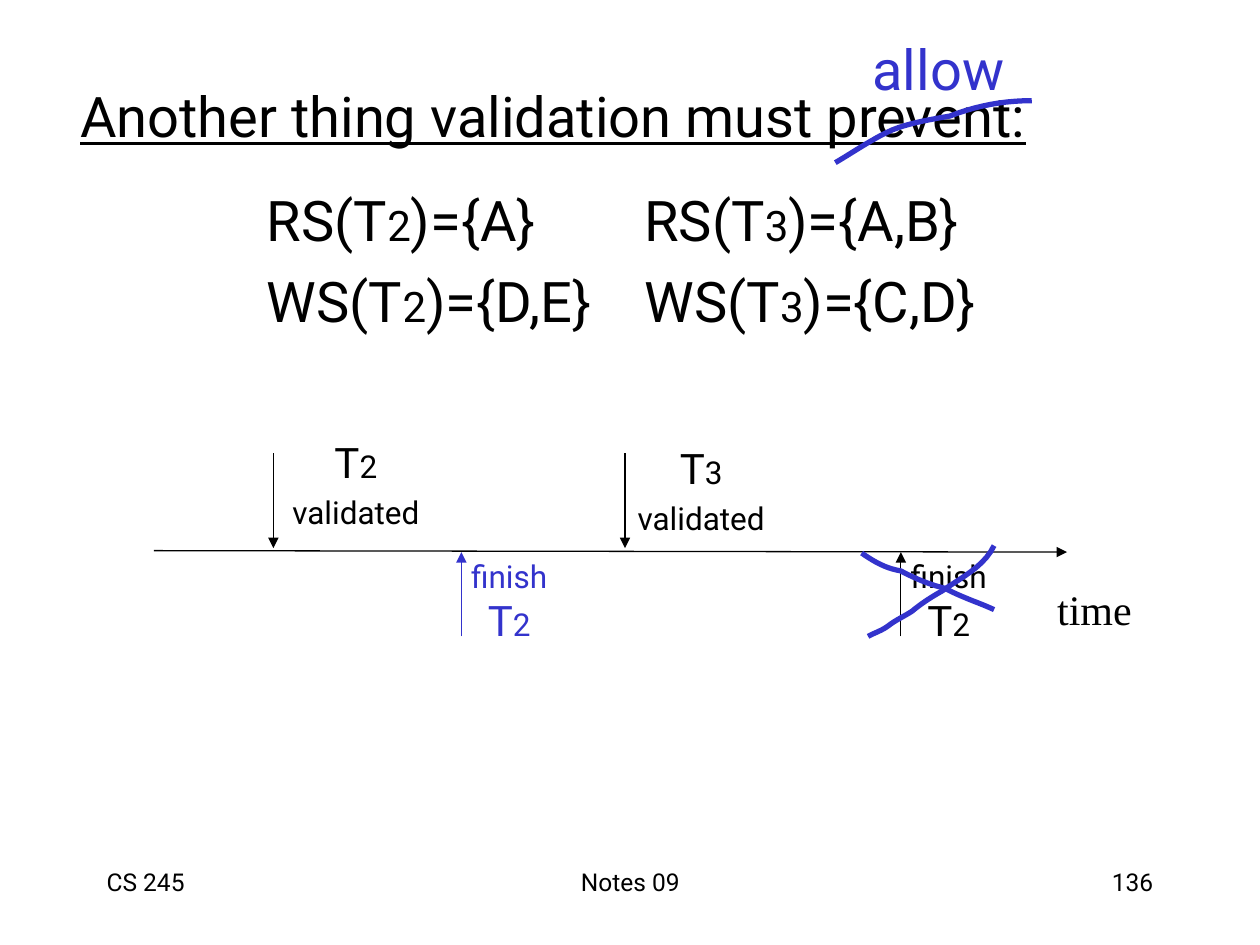
from lxml import etree
from pptx import Presentation
from pptx import util as u
from pptx.dml import color
from pptx.enum import text
from pptx.oxml import ns

COLOURS = {"ink": "000000", "edit": "3333CC"}
CENTRE = {"alignment": text.PP_ALIGN.CENTER}
RIGHT = {"alignment": text.PP_ALIGN.RIGHT}
MIDDLE = {"vertical_anchor": text.MSO_ANCHOR.MIDDLE}
FIT = {**MIDDLE, "word_wrap": False}
AXIS_Y = 11.1


def rgb(name):
    return color.RGBColor.from_string(COLOURS[name])


def set_all(target, values):
    for name, value in values.items():
        setattr(target, name, value)


def add_text(slide, box, paragraphs, colour="ink", frame_format=None, font_format=None):
    """Add a box; each paragraph is (list of (text, size) runs, format dict)."""
    shape = slide.shapes.add_textbox(*map(u.Cm, box))
    frame = shape.text_frame
    set_all(frame, {"word_wrap": True, **(frame_format or {})})
    for index, (runs, paragraph_format) in enumerate(paragraphs):
        paragraph = frame.paragraphs[0] if index == 0 else frame.add_paragraph()
        set_all(paragraph, paragraph_format)
        for content, size in runs:
            run = paragraph.add_run()
            run.text = content
            set_all(run.font, {"name": "Roboto", "size": u.Pt(size), **(font_format or {})})
            run.font.color.rgb = rgb(colour)
    return shape


def add_tabs(shape, positions):
    for paragraph in shape.text_frame.paragraphs:
        tabs = etree.SubElement(paragraph._p.get_or_add_pPr(), ns.qn("a:tabLst"))
        for position in positions:
            etree.SubElement(tabs, ns.qn("a:tab"), pos=str(int(u.Cm(position))), algn="l")


def add_arrow(slide, start, end, colour="ink"):
    arrow = slide.shapes.add_connector(1, *map(u.Cm, (*start, *end)))
    arrow.line.width = u.Pt(0.75)
    arrow.line.color.rgb = rgb(colour)
    properties = arrow._element.spPr
    etree.SubElement(properties.find(ns.qn("a:ln")), ns.qn("a:tailEnd"), type="triangle")
    etree.SubElement(properties, ns.qn("a:effectLst"))


def add_stroke(slide, start, *curves, steps=10):
    """Draw a pen stroke through cubic curves (two controls and an end each)."""
    points = []
    origin = start
    for controls in curves:
        for step in range(1, steps + 1):
            t = step / steps
            weights = ((1 - t) ** 3, 3 * t * (1 - t) ** 2, 3 * t * t * (1 - t), t ** 3)
            corners = (origin, *controls)
            points.append(tuple(
                u.Cm(sum(w * corner[axis] for w, corner in zip(weights, corners)))
                for axis in (0, 1)))
        origin = controls[-1]
    builder = slide.shapes.build_freeform(*map(u.Cm, start))
    builder.add_line_segments(points, close=False)
    stroke = builder.convert_to_shape()
    stroke.shadow.inherit = False
    stroke.fill.background()
    stroke.line.width = u.Pt(3)
    stroke.line.color.rgb = rgb("edit")


def add_validated(slide, x, label_x, label_y, number):
    add_arrow(slide, (x, 9.14), (x, 11.05))
    lower = {**CENTRE, "space_before": u.Pt(11.2), "line_spacing": 0.6}
    add_text(slide, (label_x, label_y, 3.23, 2.13),
             [([("T", 24), (number, 18)], CENTRE), ([("validated", 18)], lower)],
             frame_format=FIT)


def add_finish(slide, x, colour):
    add_arrow(slide, (x, 12.83), (x, 11.13), colour)
    add_text(slide, (x - 0.1, AXIS_Y, 2.13, 2.03),
             [([("finish", 18)], CENTRE), ([("T", 24), ("2", 18)], CENTRE)],
             colour, FIT)


def main():
    presentation = Presentation()
    presentation.slide_width, presentation.slide_height = u.Cm(25.4), u.Cm(19.05)
    slide = presentation.slides.add_slide(presentation.slide_layouts[6])

    # Footer
    for x, width, content, layout in ((1.9, 5.29, "CS 245", {}),
                                      (8.69, 8.04, "Notes 09", CENTRE),
                                      (18.21, 5.29, "136", RIGHT)):
        add_text(slide, (x, 17.35, width, 1.27), [([(content, 14)], layout)])

    # Title
    add_text(slide, (1.37, 1.12, 21.59, 2.41),
             [([("Another thing validation must prevent:", 32)], {})],
             frame_format=MIDDLE, font_format={"underline": True})

    # Read and write sets, one column per transaction
    rows = []
    for name, second, third in (("RS", "{A}", "{A,B}"), ("WS", "{D,E}", "{C,D}")):
        runs = [(f"\t{name}(T", 32), ("2", 24), (f")={second}\t{name}(T", 32),
                ("3", 24), (f")={third}", 32)]
        rows.append((runs, {"space_before": u.Pt(8)} if rows else {}))
    add_tabs(add_text(slide, (1.63, 3.61, 21.59, 3.84), rows), (3.5, 11.11))

    # Time line
    add_arrow(slide, (3.1, AXIS_Y), (21.51, AXIS_Y + 0.03))
    add_text(slide, (21.06, 11.63, 2.01, 1.27), [([("time", 24)], CENTRE)],
             frame_format=FIT, font_format={"name": "Times New Roman"})
    add_validated(slide, 5.51, 5.56, 8.66, "2")
    add_validated(slide, 12.6, 12.52, 8.79, "3")
    add_finish(slide, 18.16, "ink")
    add_finish(slide, 9.3, "edit")

    # Correction of the title
    add_text(slide, (17.27, 0.56, 3.3, 1.63), [([("allow", 32)], CENTRE)], "edit", FIT)
    add_stroke(slide, (16.84, 3.28),
               ((17.2, 3.07), (17.53, 2.84), (17.88, 2.67)),
               ((18.24, 2.49), (18.77, 2.41), (19.15, 2.34)),
               ((19.69, 2.13), (20.24, 2.03), (20.8, 2.03)))

    # Cross over the late finish
    add_stroke(slide, (17.5, 12.83),
               ((17.65, 12.75), (17.81, 12.7), (17.93, 12.6)),
               ((18.06, 12.5), (18.24, 12.42), (18.39, 12.32)),
               ((18.57, 12.17), (18.77, 12.04), (19, 11.91)),
               ((19.35, 11.66), (19.84, 11.43), (20.04, 11)))
    add_stroke(slide, (17.37, 11.15),
               ((17.63, 11.33), (17.86, 11.46), (18.16, 11.51)),
               ((18.44, 11.66), (18.75, 11.79), (19.05, 11.86)),
               ((19.38, 12.04), (19.71, 12.14), (20.04, 12.29)))

    presentation.save("out.pptx")


if __name__ == "__main__":
    main()
